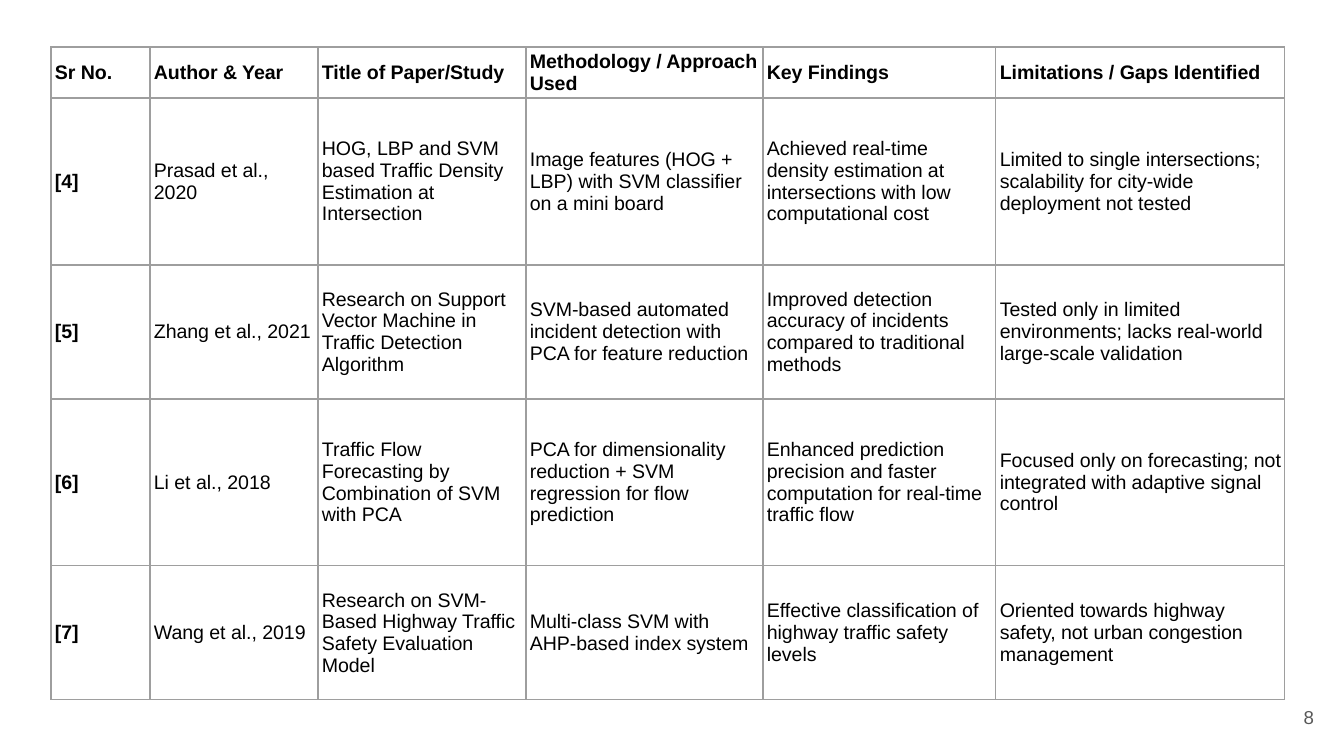
import pptx
import pptx.dml.color
import pptx.enum.text
import pptx.oxml
import pptx.oxml.ns
import pptx.util

# Content
HEADINGS = ["Sr No.", "Author & Year", "Title of Paper/Study", "Methodology / Approach Used",
            "Key Findings", "Limitations / Gaps Identified"]
STUDIES = [
    ("[4]", "Prasad et al., 2020",
     "HOG, LBP and SVM based Traffic Density Estimation at Intersection",
     "Image features (HOG + LBP) with SVM classifier on a mini board",
     "Achieved real-time density estimation at intersections with low computational cost",
     "Limited to single intersections; scalability for city-wide deployment not tested"),
    ("[5]", "Zhang et al., 2021",
     "Research on Support Vector Machine in Traffic Detection Algorithm",
     "SVM-based automated incident detection with PCA for feature reduction",
     "Improved detection accuracy of incidents compared to traditional methods",
     "Tested only in limited environments; lacks real-world large-scale validation"),
    ("[6]", "Li et al., 2018",
     "Traffic Flow Forecasting by Combination of SVM with PCA",
     "PCA for dimensionality reduction + SVM regression for flow prediction",
     "Enhanced prediction precision and faster computation for real-time traffic flow",
     "Focused only on forecasting; not integrated with adaptive signal control"),
    ("[7]", "Wang et al., 2019",
     "Research on SVM-Based Highway Traffic Safety Evaluation Model",
     "Multi-class SVM with AHP-based index system",
     "Effective classification of highway traffic safety levels",
     "Oriented towards highway safety, not urban congestion management"),
]
PAGE_NUMBER = "8"

# Layout in px, at 134.4 px to the inch
COLUMN_WIDTHS = [99, 168, 208, 237, 233, 289]
ROW_HEIGHTS = [50, 167, 134, 167, 134]
COLORS = {"text": "000000", "border": "9E9E9E", "page": "595959"}


def px(length):
    return pptx.util.Emu(round(length * 914400 / 134.4))


def write(frame, text, size=10.5, color="text", bold=False, align="LEFT"):
    frame.word_wrap = True
    paragraph = frame.paragraphs[0]
    paragraph.alignment = pptx.enum.text.PP_ALIGN[align]
    run = paragraph.add_run()
    run.text = text
    run.font.name = "Arial"
    run.font.size = pptx.util.Pt(size)
    run.font.bold = bold
    run.font.color.rgb = pptx.dml.color.RGBColor.from_string(COLORS[color])


def add_borders(cell):
    properties = cell._tc.get_or_add_tcPr()
    for index, side in enumerate(("lnL", "lnR", "lnT", "lnB")):
        properties.insert(index, pptx.oxml.parse_xml(
            f'<a:{side} {pptx.oxml.ns.nsdecls("a")} w="{pptx.util.Pt(0.75)}"><a:solidFill>'
            f'<a:srgbClr val="{COLORS["border"]}"/></a:solidFill></a:{side}>'))


presentation = pptx.Presentation()
presentation.slide_width, presentation.slide_height = px(1344), px(756)
slide = presentation.slides.add_slide(presentation.slide_layouts[6])

# Page number
page = slide.shapes.add_textbox(px(1246), px(688), px(81), px(58)).text_frame
page.vertical_anchor = pptx.enum.text.MSO_ANCHOR.MIDDLE
write(page, PAGE_NUMBER, size=10, color="page", align="RIGHT")
page.margin_left = page.margin_right = page.margin_top = page.margin_bottom = px(13)

# Literature table
literature = slide.shapes.add_table(
    len(ROW_HEIGHTS), len(COLUMN_WIDTHS), px(51), px(47),
    px(sum(COLUMN_WIDTHS)), px(sum(ROW_HEIGHTS))).table
literature.first_row = literature.horz_banding = False
for column, width in zip(literature.columns, COLUMN_WIDTHS):
    column.width = px(width)
for row, height in zip(literature.rows, ROW_HEIGHTS):
    row.height = px(height)

for row_index, entries in enumerate([HEADINGS, *STUDIES]):
    for column_index, entry in enumerate(entries):
        cell = literature.cell(row_index, column_index)
        cell.fill.background()
        cell.vertical_anchor = pptx.enum.text.MSO_ANCHOR.MIDDLE
        cell.margin_left, cell.margin_right = px(4), px(3)
        cell.margin_top = cell.margin_bottom = px(2)
        write(cell.text_frame, entry, bold=row_index == 0 or column_index == 0)
        add_borders(cell)

presentation.save("out.pptx")
